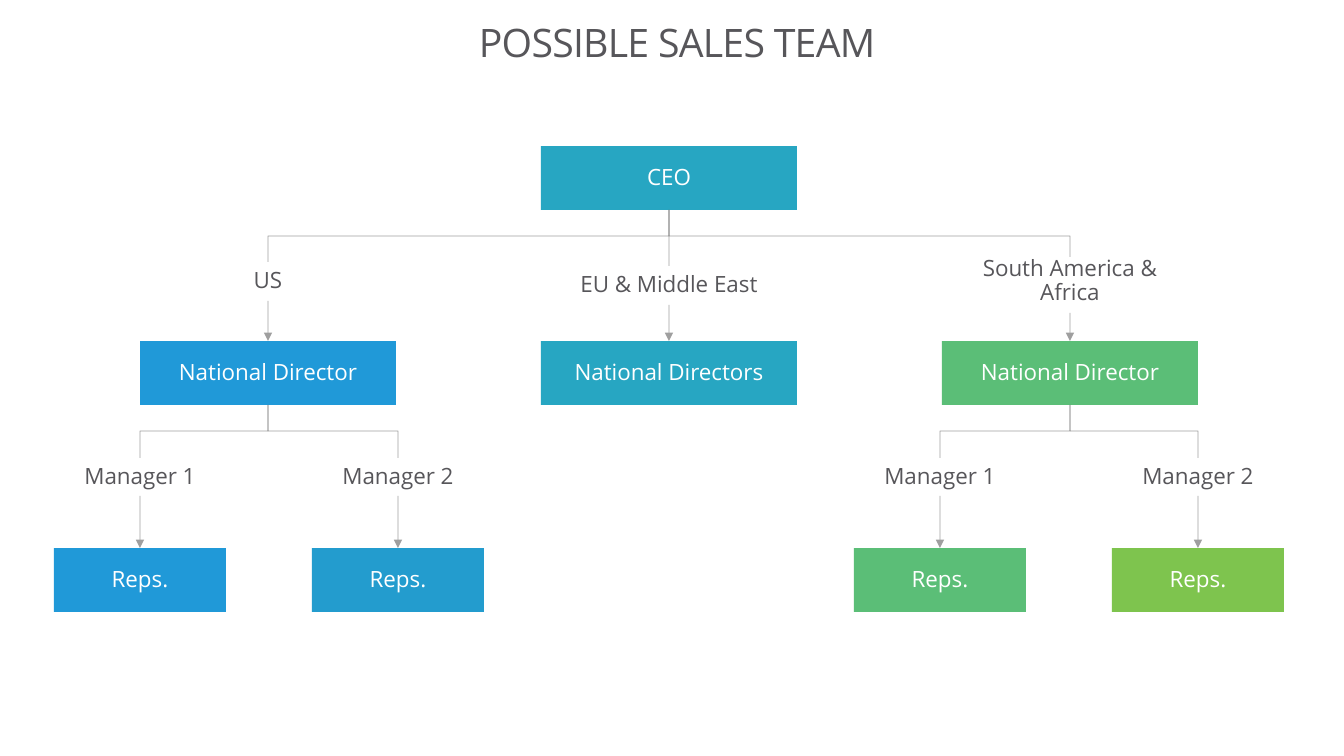
"""Build the sales team organisation chart slide."""
from dataclasses import dataclass

from lxml.etree import SubElement
from pptx import Presentation
from pptx.dml.color import RGBColor
from pptx.enum.shapes import MSO_CONNECTOR as Wire, MSO_SHAPE as Preset
from pptx.enum.text import MSO_ANCHOR as Anchor, PP_ALIGN as Align
from pptx.oxml.ns import qn
from pptx.shapes.autoshape import Shape
from pptx.shapes.connector import Connector
from pptx.shapes.shapetree import SlideShapes
from pptx.util import Emu, Pt


@dataclass(frozen=True)
class Theme:
    font: str = "Open Sans"
    ink: str = "57565A"
    paper: str = "FFFFFF"
    wire: str = "808080"
    blue: str = "2099D8"
    azure: str = "239CCE"
    teal: str = "27A6C2"
    green: str = "5BBE77"
    lime: str = "7EC44E"
    title_size: int = 28
    text_size: int = 16
    wire_width: float = 0.5
    wire_opacity: int = 75


@dataclass(frozen=True)
class Manager:
    name: str
    center: int
    fill: str


@dataclass(frozen=True)
class Region:
    name: str
    director: str
    center: int
    fill: str
    label_top: int
    label_height: int
    wire_end: int
    managers: tuple[Manager, ...] = ()


THEME = Theme()
SLIDE_WIDTH, SLIDE_HEIGHT = 1344, 756
BOX_HEIGHT, HEAD_WIDTH, REPS_WIDTH, LABEL_WIDTH = 64, 256, 172, 204
CEO_CENTER, CEO_TOP, DIRECTOR_TOP, REPS_TOP = 669, 146, 341, 548
MANAGER_TOP, MANAGER_HEIGHT = 458, 38
TRUNK = 26
TOP, BOTTOM = 0, 2

REGIONS = (
    Region("US", "National Director", 268, THEME.blue, 262, 39, 262, (
        Manager("Manager 1", 140, THEME.blue),
        Manager("Manager 2", 398, THEME.azure),
    )),
    Region("EU & Middle East", "National Directors", CEO_CENTER, THEME.teal, 266, 39, 266),
    Region("South America & Africa", "National Director", 1070, THEME.green, 250, 63, 257, (
        Manager("Manager 1", 940, THEME.green),
        Manager("Manager 2", 1198, THEME.lime),
    )),
)


def px(length: float) -> Emu:
    """Turn px into EMU."""
    return Emu(round(length * 914400 / 100.8))


def write(holder: Shape, text: str, size: int, color: str, inset: int, spacing: float) -> None:
    """Set centred text in a shape."""
    frame = holder.text_frame
    frame.text = text
    frame.word_wrap = True
    frame.vertical_anchor = Anchor.MIDDLE
    frame.margin_left = frame.margin_right = px(inset)
    frame.margin_top = frame.margin_bottom = px(inset)
    line = frame.paragraphs[0]
    line.alignment = Align.CENTER
    line.line_spacing = spacing
    font = line.runs[0].font
    font.name, font.size = THEME.font, Pt(size)
    font.color.rgb = RGBColor.from_string(color)


def add_box(shapes: SlideShapes, text: str, center: int, top: int, width: int, fill: str) -> Shape:
    """Draw a filled box around a centre line."""
    box = shapes.add_shape(
        Preset.RECTANGLE, px(center - width / 2), px(top), px(width), px(BOX_HEIGHT))
    box.shadow.inherit = False
    box.fill.solid()
    box.fill.fore_color.rgb = RGBColor.from_string(fill)
    box.line.fill.background()
    write(box, text, THEME.text_size, THEME.paper, 1, 0.9)
    return box


def add_label(shapes: SlideShapes, text: str, center: int, top: int, height: int) -> Shape:
    """Place a plain label around a centre line."""
    label = shapes.add_textbox(
        px(center - LABEL_WIDTH / 2), px(top), px(LABEL_WIDTH), px(height))
    write(label, text, THEME.text_size, THEME.ink, 7, 0.9)
    return label


def style_wire(wire: Connector) -> None:
    """Give a connector its thin translucent line."""
    wire.line.width = Pt(THEME.wire_width)
    wire.line.color.rgb = RGBColor.from_string(THEME.wire)
    properties = wire._element.spPr
    color = next(properties.iter(qn("a:srgbClr")))
    SubElement(color, qn("a:alpha")).set("val", str(THEME.wire_opacity * 1000))
    SubElement(properties, qn("a:effectLst"))


def add_straight(shapes: SlideShapes, upper: Shape, lower: Shape, arrow: bool) -> None:
    """Join the bottom of one shape to the top of another."""
    wire = shapes.add_connector(Wire.STRAIGHT, 0, 0, 0, 0)
    wire.begin_connect(upper, BOTTOM)
    wire.end_connect(lower, TOP)
    style_wire(wire)
    if arrow:
        outline = wire._element.spPr.find(qn("a:ln"))
        SubElement(outline, qn("a:tailEnd")).set("type", "triangle")


def add_elbow(shapes: SlideShapes, start: int, top: int, end: int, bottom: int) -> None:
    """Draw a down, across, down branch as a turned elbow connector."""
    drop, reach = bottom - top, abs(end - start)
    middle_x, middle_y = (start + end) / 2, (top + bottom) / 2
    side = 1 if end > start else -1
    wire = shapes.add_connector(
        Wire.ELBOW,
        px(middle_x + side * drop / 2), px(middle_y - reach / 2),
        px(middle_x - side * drop / 2), px(middle_y + reach / 2))
    properties = wire._element.spPr
    properties.find(qn("a:xfrm")).set("rot", str((270 if side > 0 else 90) * 60000))
    guide = SubElement(next(properties.iter(qn("a:avLst"))), qn("a:gd"))
    guide.set("name", "adj1")
    guide.set("fmla", f"val {round(TRUNK / drop * 100000)}")
    style_wire(wire)


def add_region(shapes: SlideShapes, ceo: Shape, region: Region) -> None:
    """Draw one region with its director and managers."""
    director = add_box(
        shapes, region.director, region.center, DIRECTOR_TOP, HEAD_WIDTH, region.fill)
    label = add_label(
        shapes, region.name, region.center, region.label_top, region.label_height)
    if region.center == CEO_CENTER:
        add_straight(shapes, ceo, label, arrow=False)
    else:
        add_elbow(shapes, CEO_CENTER, CEO_TOP + BOX_HEIGHT, region.center, region.wire_end)
    add_straight(shapes, label, director, arrow=True)
    for manager in region.managers:
        reps = add_box(shapes, "Reps.", manager.center, REPS_TOP, REPS_WIDTH, manager.fill)
        name = add_label(shapes, manager.name, manager.center, MANAGER_TOP, MANAGER_HEIGHT)
        add_elbow(
            shapes, region.center, DIRECTOR_TOP + BOX_HEIGHT, manager.center, MANAGER_TOP)
        add_straight(shapes, name, reps, arrow=True)


def main() -> None:
    """Build and save the slide."""
    deck = Presentation()
    deck.slide_width, deck.slide_height = px(SLIDE_WIDTH), px(SLIDE_HEIGHT)
    shapes = deck.slides.add_slide(deck.slide_layouts[6]).shapes
    title = shapes.add_textbox(px(106), px(0), px(1142), px(90))
    write(title, "POSSIBLE SALES TEAM", THEME.title_size, THEME.ink, 0, 0.86)
    title.text_frame.paragraphs[0].runs[0].font._element.set("spc", "-50")
    ceo = add_box(shapes, "CEO", CEO_CENTER, CEO_TOP, HEAD_WIDTH, THEME.teal)
    for region in REGIONS:
        add_region(shapes, ceo, region)
    deck.save("out.pptx")


if __name__ == "__main__":
    main()
